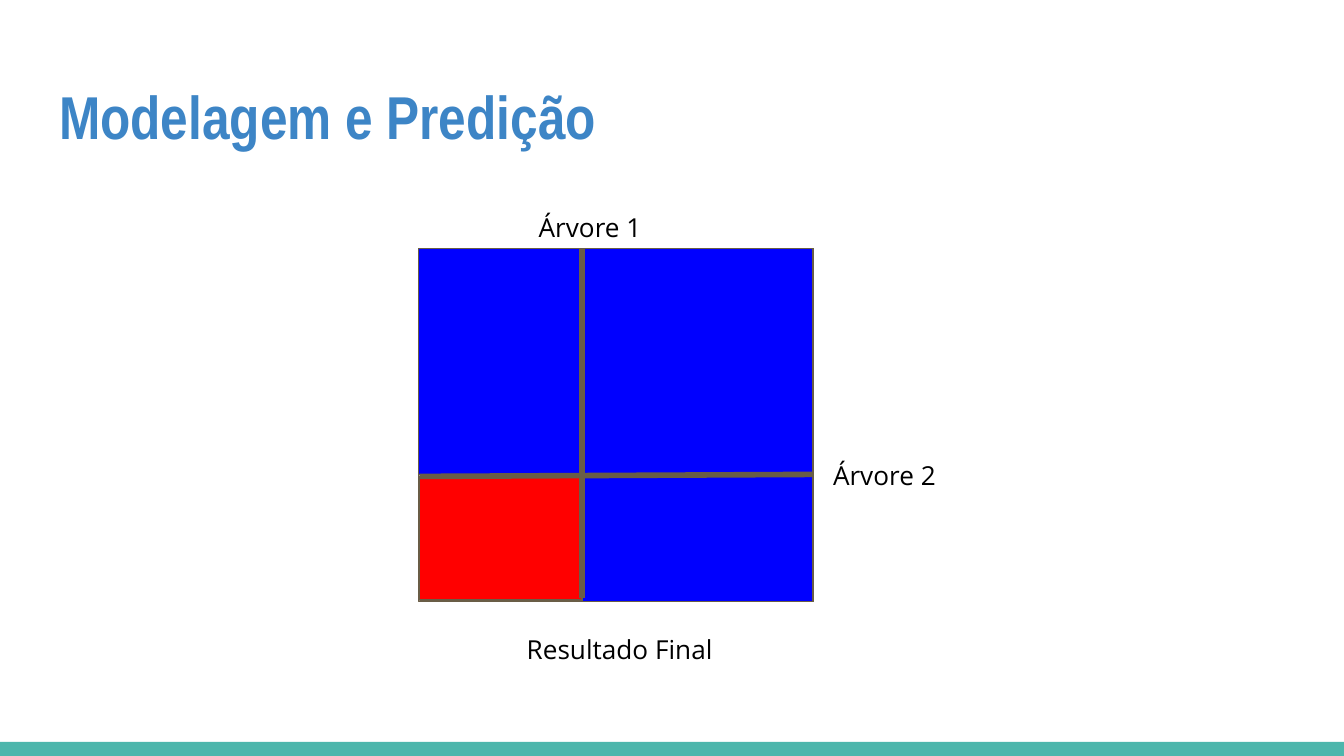
from dataclasses import dataclass

import pptx
import pptx.dml.color
import pptx.enum.shapes
import pptx.enum.text
import pptx.oxml.ns
import pptx.shapes.autoshape
import pptx.slide
import pptx.text.text
import pptx.util
from lxml import etree

PIXEL = pptx.util.Inches(1) // 200  # 200 px to the inch


@dataclass(frozen=True)
class Theme:
    title_font: str = "Arial Narrow"
    label_font: str = "Open Sans"
    title_size: float = 32.4
    label_size: float = 14
    border_width: float = 0.75
    split_width: float = 3
    title: str = "3D85C6"
    text: str = "000000"
    bar: str = "4DB6AC"
    outline: str = "695D46"
    white: str = "FFFFFF"
    blue: str = "0000FF"
    red: str = "FF0000"


@dataclass(frozen=True)
class Box:
    left: int
    top: int
    width: int
    height: int

    def emu(self) -> list[int]:
        return [n * PIXEL for n in (self.left, self.top, self.width, self.height)]


@dataclass(frozen=True)
class Region:
    box: Box
    fill: str
    outline: str | None = None


@dataclass(frozen=True)
class Split:
    start: tuple[int, int]
    end: tuple[int, int]


@dataclass(frozen=True)
class Label:
    text: str
    box: Box


THEME = Theme()
SLIDE_WIDTH, SLIDE_HEIGHT = 2000, 1125
BAR_HEIGHT = 21
TEXT_MARGIN = 20

# The square of predictions and where the two trees split it
LEFT, TOP, WIDTH, HEIGHT = 623, 370, 587, 525
SPLIT_X, SPLIT_Y = 866, 706
RIGHT, BOTTOM = LEFT + WIDTH, TOP + HEIGHT

REGIONS = [
    Region(Box(LEFT, TOP, WIDTH, HEIGHT), THEME.white, THEME.outline),
    Region(Box(LEFT, TOP, WIDTH, SPLIT_Y - TOP), THEME.blue, THEME.outline),
    Region(Box(SPLIT_X, TOP, RIGHT - SPLIT_X, HEIGHT), THEME.blue, THEME.outline),
    Region(Box(LEFT + 1, SPLIT_Y + 3, SPLIT_X - LEFT - 1, 184), THEME.red, THEME.outline),
]
SPLITS = [
    Split((SPLIT_X, TOP), (SPLIT_X, BOTTOM - 5)),
    Split((RIGHT - 1, SPLIT_Y), (LEFT + 1, SPLIT_Y + 3)),
]
LABELS = [
    Label("Resultado Final", Box(764, 923, 538, 88)),
    Label("Árvore 1", Box(782, 295, 248, 88)),
    Label("Árvore 2", Box(1220, 664, 248, 88)),
]


def color(code: str) -> pptx.dml.color.RGBColor:
    return pptx.dml.color.RGBColor.from_string(code)


def write_text(frame: pptx.text.text.TextFrame, text: str, *, font: str, size: float,
               fill: str, bold: bool = False) -> None:
    frame.word_wrap = True
    frame.auto_size = pptx.enum.text.MSO_AUTO_SIZE.NONE
    frame.vertical_anchor = pptx.enum.text.MSO_ANCHOR.TOP
    frame.margin_left = frame.margin_right = TEXT_MARGIN * PIXEL
    frame.margin_top = frame.margin_bottom = TEXT_MARGIN * PIXEL
    paragraph = frame.paragraphs[0]
    paragraph.alignment = pptx.enum.text.PP_ALIGN.LEFT
    run = paragraph.add_run()
    run.text = text
    run.font.name = font
    run.font.size = pptx.util.Pt(size)
    run.font.bold = bold
    run.font.color.rgb = color(fill)


def draw_region(slide: pptx.slide.Slide, region: Region) -> pptx.shapes.autoshape.Shape:
    rectangle = pptx.enum.shapes.MSO_SHAPE.RECTANGLE
    shape = slide.shapes.add_shape(rectangle, *region.box.emu())
    shape.shadow.inherit = False
    shape.fill.solid()
    shape.fill.fore_color.rgb = color(region.fill)
    if region.outline:
        shape.line.color.rgb = color(region.outline)
        shape.line.width = pptx.util.Pt(THEME.border_width)
    else:
        shape.line.fill.background()
    return shape


def draw_split(slide: pptx.slide.Slide, split: Split) -> None:
    straight = pptx.enum.shapes.MSO_CONNECTOR.STRAIGHT
    ends = [n * PIXEL for n in (*split.start, *split.end)]
    connector = slide.shapes.add_connector(straight, *ends)
    connector.line.color.rgb = color(THEME.outline)
    connector.line.width = pptx.util.Pt(THEME.split_width)
    properties = connector._element.spPr
    etree.SubElement(properties, pptx.oxml.ns.qn("a:effectLst"))


def draw_label(slide: pptx.slide.Slide, label: Label) -> None:
    shape = slide.shapes.add_textbox(*label.box.emu())
    write_text(shape.text_frame, label.text, font=THEME.label_font,
               size=THEME.label_size, fill=THEME.text)


def main() -> None:
    presentation = pptx.Presentation()
    presentation.slide_width = SLIDE_WIDTH * PIXEL
    presentation.slide_height = SLIDE_HEIGHT * PIXEL
    slide = presentation.slides.add_slide(presentation.slide_layouts.get_by_name("Title Only"))

    # Title
    title = slide.shapes.title
    title.left, title.top, title.width, title.height = Box(68, 98, 1864, 154).emu()
    write_text(title.text_frame, "Modelagem e Predição", font=THEME.title_font,
               size=THEME.title_size, fill=THEME.title, bold=True)

    # Bar along the bottom edge
    bar = Box(0, SLIDE_HEIGHT - BAR_HEIGHT, SLIDE_WIDTH, BAR_HEIGHT)
    draw_region(slide, Region(bar, THEME.bar))

    # Predicted regions, tree splits and labels
    for region in REGIONS:
        draw_region(slide, region)
    for split in SPLITS:
        draw_split(slide, split)
    for label in LABELS:
        draw_label(slide, label)

    presentation.save("out.pptx")


if __name__ == "__main__":
    main()
